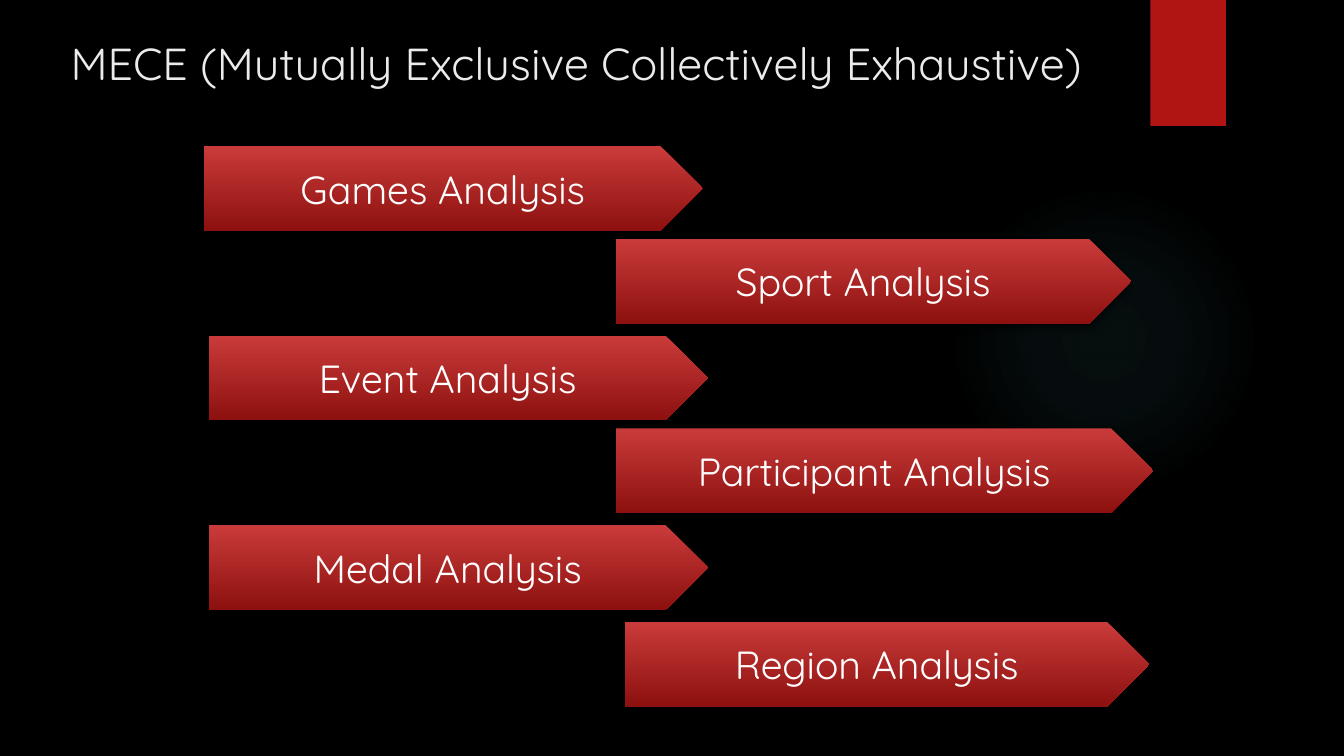
from pptx import Presentation
from pptx.dml.color import RGBColor
from pptx.enum import shapes, text
from pptx.oxml import parse_xml
from pptx.oxml.ns import nsdecls, qn
from pptx.util import Inches, Pt

rgb = RGBColor.from_string


def add_block(s, kind, box, shadow=None):
    """Add a borderless shape; shadow is (alpha %, blur pt, distance pt)."""
    sp = s.shapes.add_shape(kind, *map(Inches, box))
    sp.line.fill.background()
    sp.shadow.inherit = False
    if shadow:
        alpha, blur, dist = shadow
        sp._element.spPr.find(qn("a:effectLst")).append(parse_xml(
            f'<a:outerShdw {nsdecls("a")} blurRad="{Pt(blur)}" dist="{Pt(dist)}" '
            f'dir="5400000" rotWithShape="0"><a:srgbClr val="000000">'
            f'<a:alpha val="{alpha * 1000}"/></a:srgbClr></a:outerShdw>'))
    return sp


def write(sp, content, size, color, align, anchor):
    tf = sp.text_frame
    tf.word_wrap = True
    tf.auto_size = text.MSO_AUTO_SIZE.NONE
    tf.vertical_anchor = anchor
    p = tf.paragraphs[0]
    p.alignment = align
    r = p.add_run()
    r.text = content
    r.font.name = "Quicksand"
    r.font.size = Pt(size)
    r.font.color.rgb = rgb(color)


prs = Presentation()
prs.slide_width, prs.slide_height = Inches(13.33), Inches(7.5)
s = prs.slides.add_slide(prs.slide_layouts[5])
s.background.fill.solid()
s.background.fill.fore_color.rgb = rgb("000000")

# Faint round glow
glow = add_block(s, shapes.MSO_SHAPE.OVAL, (9.41, 1.83, 3.08, 3.08))
glow.fill.background()
stops = "".join(
    f'<a:gs pos="{pos * 1000}"><a:srgbClr val="50B9C1">'
    f'<a:alpha val="{alpha * 1000}"/></a:srgbClr></a:gs>'
    for pos, alpha in [(0, 7), (36, 6), (69, 0)])
spPr = glow._element.spPr
spPr.replace(spPr.find(qn("a:noFill")), parse_xml(
    f'<a:gradFill {nsdecls("a")} rotWithShape="1"><a:gsLst>{stops}</a:gsLst>'
    '<a:path path="circle"><a:fillToRect l="50000" t="50000" r="50000" b="50000"/>'
    '</a:path></a:gradFill>'))

# Red tab at the top edge
tab = add_block(s, shapes.MSO_SHAPE.RECTANGLE, (11.41, 0, 0.75, 1.25), (45, 3, 2))
tab.fill.solid()
tab.fill.fore_color.rgb = rgb("B01513")

title = s.shapes.title
title.left, title.top, title.width, title.height = map(Inches, (0.6, 0.3, 11.86, 1))
write(title, "MECE (Mutually Exclusive Collectively Exhaustive)", size=32,
      color="EBEBEB", align=text.PP_ALIGN.LEFT, anchor=text.MSO_ANCHOR.TOP)
tab._element.addnext(title._element)

# Staggered arrows: label, left, top, width
arrows = [
    ("Games Analysis", 2.02, 1.45, 4.95),
    ("Sport Analysis", 6.11, 2.37, 5.11),
    ("Region Analysis", 6.2, 6.17, 5.2),
    ("Event Analysis", 2.07, 3.33, 4.95),
    ("Participant Analysis", 6.11, 4.25, 5.33),
    ("Medal Analysis", 2.07, 5.21, 4.95),
]
for label, left, top, width in arrows:
    arrow = add_block(s, shapes.MSO_SHAPE.PENTAGON, (left, top, width, 0.84), (60, 5, 3))
    arrow.fill.gradient()
    arrow.fill.gradient_angle = 270
    for stop, pos, color in zip(arrow.fill.gradient_stops, (0, 1), ("C93B3A", "8D110F")):
        stop.position = pos
        stop.color.rgb = rgb(color)
    write(arrow, label, size=28, color="FFFFFF",
          align=text.PP_ALIGN.CENTER, anchor=text.MSO_ANCHOR.MIDDLE)

prs.save("out.pptx")
